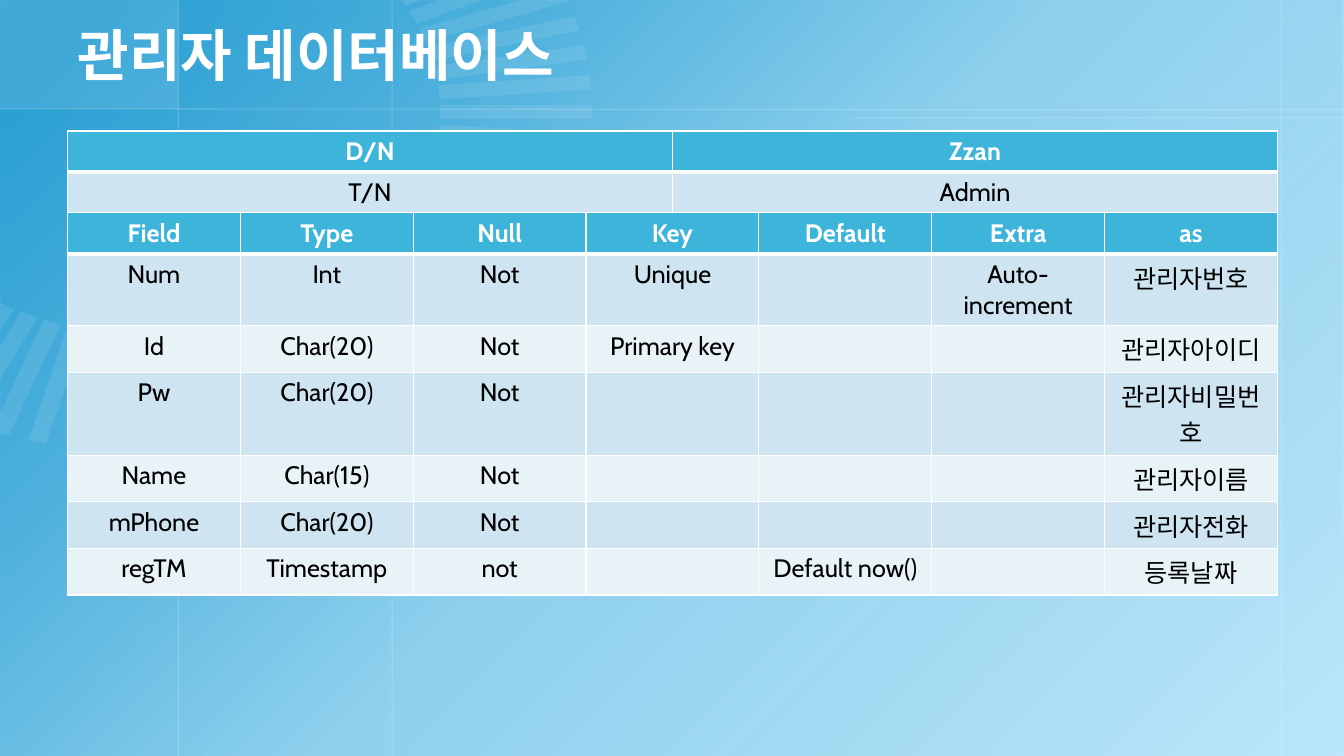
from dataclasses import dataclass
from math import cos, radians, sin

from lxml import etree
from pptx import Presentation
from pptx.dml.color import RGBColor
from pptx.enum.shapes import MSO_CONNECTOR, MSO_SHAPE
from pptx.enum.text import MSO_ANCHOR, PP_ALIGN
from pptx.oxml.ns import qn
from pptx.util import Inches, Pt

RECTANGLE = MSO_SHAPE.RECTANGLE
STRAIGHT = MSO_CONNECTOR.STRAIGHT
CENTER, LEFT = PP_ALIGN.CENTER, PP_ALIGN.LEFT
MIDDLE = MSO_ANCHOR.MIDDLE


@dataclass(frozen=True)
class Theme:
    background: str = "BCE7FA"
    wash: str = "0F92CC"
    white: str = "FFFFFF"
    ray: str = "F2FAFE"
    header: str = "3DB5DB"
    bands: tuple = ("CEE5F1", "E8F3F8")
    text: str = "000000"
    title_font: str = "Calibri"
    table_font: str = "Cabin"
    title_size: int = 40
    table_size: int = 18


THEME = Theme()
WIDTH, HEIGHT = 13.33, 7.5
TABLE_LEFT, TABLE_WIDTH, ROW_HEIGHT = 0.67, 12, 0.41
WASH_STOPS = ((6, 83), (26, 63), (50, 27), (100, 0))
GUIDES = (
    (1.77, 0, 1.77, HEIGHT), (12.71, 0, 12.71, HEIGHT), (3.89, 0, 3.89, HEIGHT),
    (0, 1.08, WIDTH, 1.09), (8.44, 1.17, WIDTH, 1.17),
)
NAME_ROWS = (("D/N", "Zzan"), ("T/N", "Admin"))
FIELD_ROWS = (
    ("Field", "Type", "Null", "Key", "Default", "Extra", "as"),
    ("Num", "Int", "Not", "Unique", "", "Auto-increment", "관리자번호"),
    ("Id", "Char(20)", "Not", "Primary key", "", "", "관리자아이디"),
    ("Pw", "Char(20)", "Not", "", "", "", "관리자비밀번호"),
    ("Name", "Char(15)", "Not", "", "", "", "관리자이름"),
    ("mPhone", "Char(20)", "Not", "", "", "", "관리자전화"),
    ("regTM", "Timestamp", "not", "", "Default now()", "", "등록날짜"),
)


def rgb(color):
    return RGBColor.from_string(color)


def add_color(parent, color, opacity):
    node = etree.SubElement(parent, qn("a:srgbClr"), val=color)
    etree.SubElement(node, qn("a:alpha"), val=str(opacity * 1000))


def set_opacity(fill_parent, opacity):
    color = next(fill_parent.iter(qn("a:srgbClr")))
    etree.SubElement(color, qn("a:alpha"), val=str(opacity * 1000))


def style_glass(shape, color):
    """Give a shape a faint fill with no outline or shadow."""
    shape.shadow.inherit = False
    shape.line.fill.background()
    shape.fill.solid()
    shape.fill.fore_color.rgb = rgb(color)
    set_opacity(shape.element.spPr, 10)


def add_rectangle(shapes, left, top, width, height):
    return shapes.add_shape(
        RECTANGLE, Inches(left), Inches(top), Inches(width), Inches(height))


def add_wash(slide):
    wash = add_rectangle(slide.shapes, 0, 0, WIDTH, HEIGHT)
    wash.shadow.inherit = False
    wash.line.fill.background()
    wash.fill.gradient()
    gradient = wash.element.spPr.find(qn("a:gradFill"))
    stops = gradient.find(qn("a:gsLst"))
    for stop in list(stops):
        stops.remove(stop)
    for position, opacity in WASH_STOPS:
        stop = etree.SubElement(stops, qn("a:gs"), pos=str(position * 1000))
        add_color(stop, THEME.wash, opacity)
    direction = gradient.find(qn("a:lin"))
    direction.set("ang", str(45 * 60000))
    direction.set("scaled", "0")


def add_guide(slide, ends):
    guide = slide.shapes.add_connector(STRAIGHT, *(Inches(end) for end in ends))
    guide.line.width = Pt(0.75)
    guide.line.color.rgb = rgb(THEME.white)
    properties = guide.element.spPr
    set_opacity(properties, 20)
    etree.SubElement(properties, qn("a:effectLst"))


def clip(points, axis):
    """Cut away the part of a polygon that lies below zero on one axis."""
    kept = []
    for start, end in zip(points[-1:] + points[:-1], points):
        if (start[axis] < 0) != (end[axis] < 0):
            share = start[axis] / (start[axis] - end[axis])
            kept.append(tuple(a + share * (b - a) for a, b in zip(start, end)))
        if end[axis] >= 0:
            kept.append(end)
    return kept


def ray_points(angle):
    center_x, center_y, stretch = 1.5, 1.11, 1.29
    inner, outer, half = 2.22, 3.39, 0.07
    corners = ((inner, -half), (outer, -half), (outer, half), (inner, half))
    points = [
        (center_x + stretch * (along * cos(angle) - across * sin(angle)),
         center_y + along * sin(angle) + across * cos(angle))
        for along, across in corners
    ]
    return clip(clip(points, 0), 1)


def add_sunburst(slide):
    """Draw a stretched ring of rays, one every five degrees."""
    group = slide.shapes.add_group_shape()
    for step in range(-6, 25):
        points = ray_points(radians(5 * step))
        if step in (0, 18):
            xs, ys = zip(*points)
            ray = add_rectangle(group.shapes, min(xs), min(ys),
                                max(xs) - min(xs), max(ys) - min(ys))
        else:
            corners = [(Inches(x), Inches(y)) for x, y in points]
            builder = group.shapes.build_freeform(*corners[0])
            builder.add_line_segments(corners[1:], close=True)
            ray = builder.convert_to_shape()
        style_glass(ray, THEME.ray)


def format_text(paragraph, font_name, size, color, bold, alignment):
    paragraph.alignment = alignment
    for span in paragraph.runs:
        span.font.name = font_name
        span.font.size = Pt(size)
        span.font.bold = bold
        span.font.color.rgb = rgb(color)


def set_title(slide, text):
    title = slide.shapes.title
    title.left, title.top = Inches(0.67), Inches(0)
    title.width, title.height = Inches(10.89), Inches(1.08)
    title.text_frame.text = text
    title.text_frame.vertical_anchor = MIDDLE
    format_text(title.text_frame.paragraphs[0], THEME.title_font,
                THEME.title_size, THEME.white, True, LEFT)
    title.element.getparent().append(title.element)


def set_borders(cell, row):
    """Rule a cell in white, with a thick rule below the header row."""
    widths = {"L": 1, "R": 1, "T": 3 if row == 1 else 1, "B": 3 if row == 0 else 1}
    properties = cell._tc.get_or_add_tcPr()
    for index, (side, width) in enumerate(widths.items()):
        border = etree.Element(qn(f"a:ln{side}"), w=str(Pt(width)))
        fill = etree.SubElement(border, qn("a:solidFill"))
        etree.SubElement(fill, qn("a:srgbClr"), val=THEME.white)
        properties.insert(index, border)


def add_grid(slide, top, rows):
    frame = slide.shapes.add_table(
        len(rows), len(rows[0]), Inches(TABLE_LEFT), Inches(top),
        Inches(TABLE_WIDTH), Inches(ROW_HEIGHT * len(rows)))
    table = frame.table
    table.first_row = table.horz_banding = False
    for row, texts in enumerate(rows):
        header = row == 0
        for column, text in enumerate(texts):
            cell = table.cell(row, column)
            cell.text_frame.text = text
            format_text(cell.text_frame.paragraphs[0], THEME.table_font,
                        THEME.table_size, THEME.white if header else THEME.text,
                        header, CENTER)
            cell.fill.solid()
            color = THEME.header if header else THEME.bands[(row - 1) % 2]
            cell.fill.fore_color.rgb = rgb(color)
            set_borders(cell, row)


def main():
    deck = Presentation()
    deck.slide_width, deck.slide_height = Inches(WIDTH), Inches(HEIGHT)
    slide = deck.slides.add_slide(deck.slide_layouts.get_by_name("Title Only"))
    slide.background.fill.solid()
    slide.background.fill.fore_color.rgb = rgb(THEME.background)
    add_wash(slide)
    style_glass(add_rectangle(slide.shapes, 0, 0, 1.77, 1.08), THEME.white)
    for ends in GUIDES:
        add_guide(slide, ends)
    add_sunburst(slide)
    set_title(slide, "관리자 데이터베이스")
    add_grid(slide, 1.3, NAME_ROWS)
    add_grid(slide, 2.11, FIELD_ROWS)
    deck.save("out.pptx")


if __name__ == "__main__":
    main()
